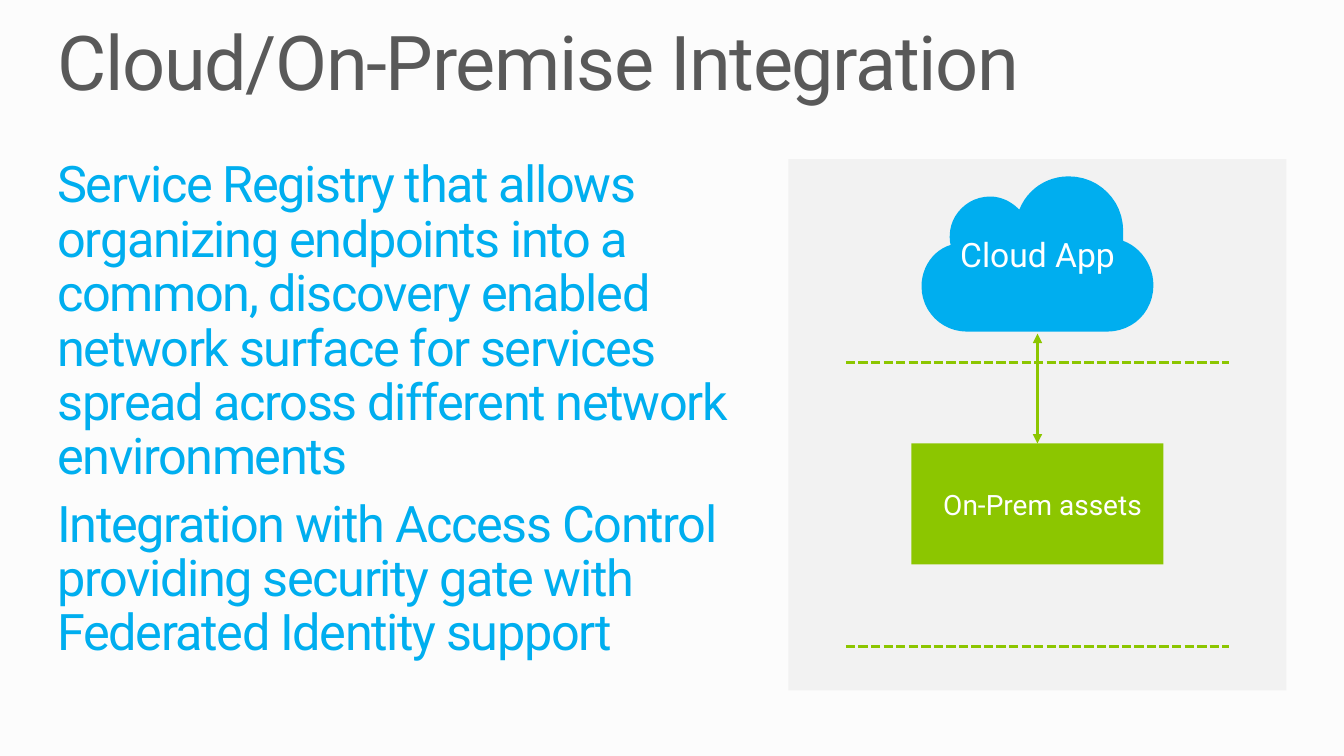
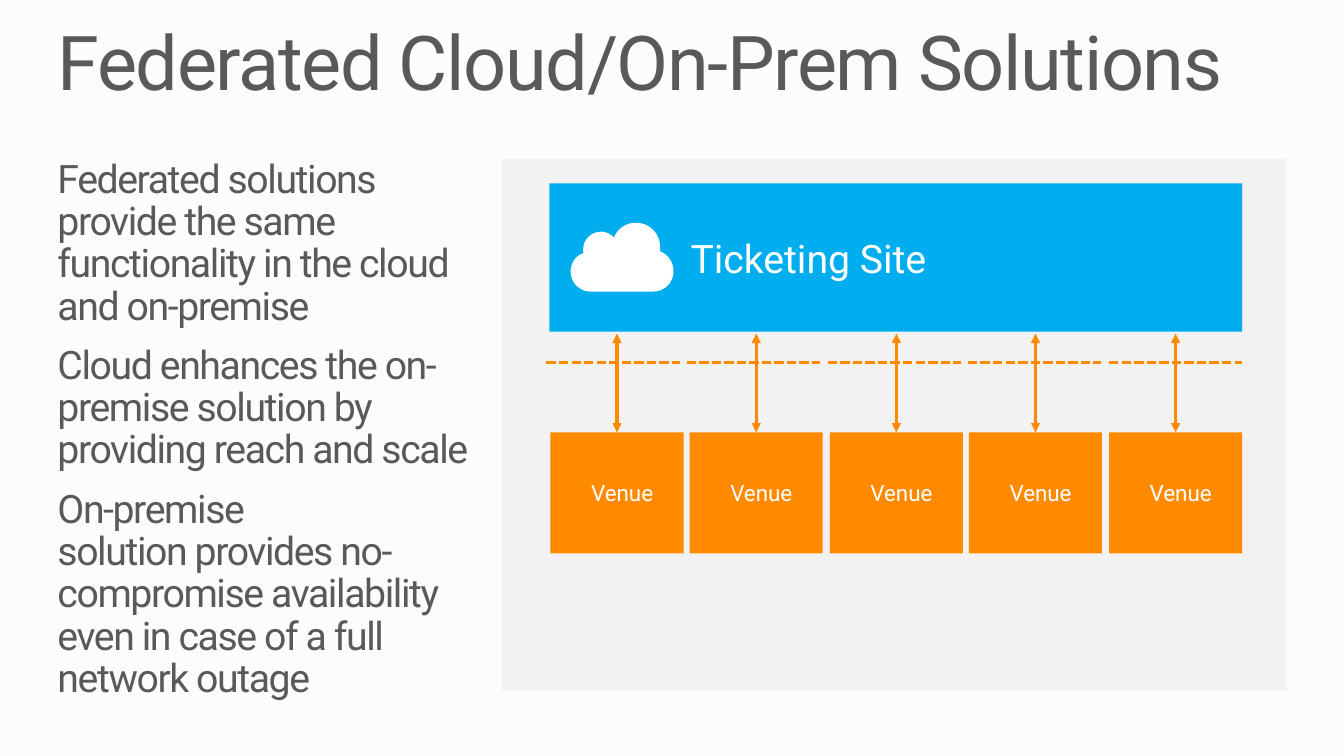
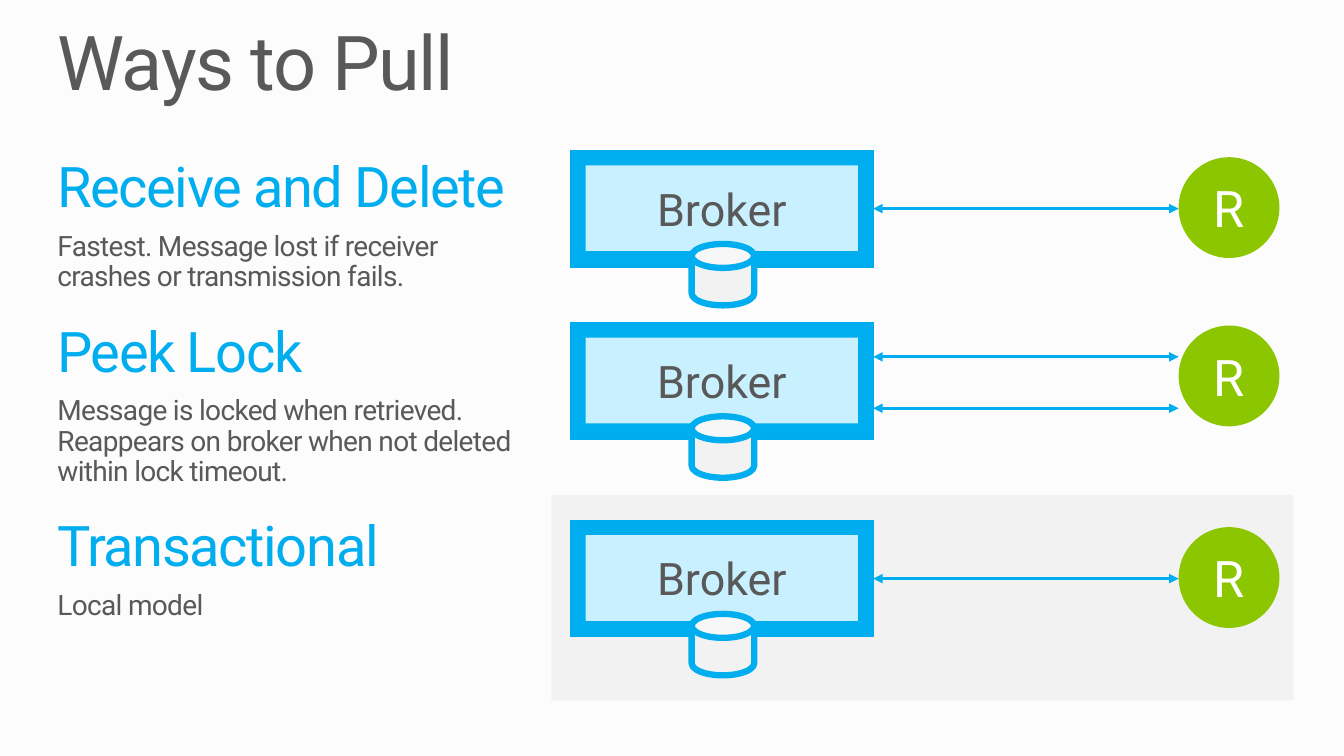
from dataclasses import dataclass

from lxml import etree
from pptx import Presentation, util as u
from pptx.dml.color import RGBColor
from pptx.enum import dml, shapes, text
from pptx.oxml.ns import qn

PX = 9144


@dataclass(frozen=True)
class Theme:
    font: str = "Roboto"
    page: str = "FCFCFC"
    panel: str = "F2F2F2"
    ink: str = "595959"
    white: str = "FFFFFF"
    blue: str = "00AEEF"
    edge: str = "00AAEA"
    pale: str = "C9F0FF"
    green: str = "8CC600"
    orange: str = "FF8A00"
    title: int = 54
    heading: int = 40
    lead: int = 36
    broker: int = 32
    body: int = 28
    label: int = 24
    small: int = 20
    tiny: int = 16
    stroke: float = 2.25


T = Theme()

CLOUD_SIZE = (230, 154)
CLOUD_START = (200, 64)
CLOUD_CURVES = [
    ((200, 61), (200, 58), (200, 54)),
    ((200, 24), (176, 0), (146, 0)),
    ((124, 0), (105, 13), (97, 33)),
    ((89, 25), (79, 20), (68, 20)),
    ((46, 20), (28, 38), (28, 59)),
    ((28, 62), (28, 65), (29, 68)),
    ((12, 73), (0, 90), (0, 109)),
    ((0, 134), (20, 154), (45, 154)),
    ((45, 154), (184, 154), (184, 154)),
    ((210, 154), (230, 134), (230, 108)),
    ((230, 88), (217, 70), (200, 64)),
]


def px(n):
    return u.Emu(n * PX)


def rgb(value):
    return RGBColor.from_string(value)


def spread(first, last, count):
    return [first + i * (last - first) // (count - 1) for i in range(count)]


def add_run(p, words, size, color, tracking=0):
    for i, line in enumerate(words.split("\n")):
        if i:
            p.add_line_break()
        r = p.add_run()
        r.text = line
        r.font.name = T.font
        r.font.size = u.Pt(size)
        r.font.color.rgb = rgb(color)
        if tracking:
            r._r.get_or_add_rPr().set("spc", str(round(tracking * 100)))


def set_insets(tf, left, top, right, bottom):
    tf.margin_left, tf.margin_top = px(left), px(top)
    tf.margin_right, tf.margin_bottom = px(right), px(bottom)


def add_label(sp, words, size, color=T.white, insets=(10, 5, 10, 5),
              align=text.PP_ALIGN.CENTER):
    tf = sp.text_frame
    tf.word_wrap = True
    tf.vertical_anchor = text.MSO_ANCHOR.MIDDLE
    set_insets(tf, *insets)
    p = tf.paragraphs[0]
    p.alignment = align
    add_run(p, words, size, color)


def paint(sp, fill, line=None, width=0.75):
    sp.shadow.inherit = False
    sp.fill.solid()
    sp.fill.fore_color.rgb = rgb(fill)
    if line:
        sp.line.color.rgb = rgb(line)
        sp.line.width = u.Pt(width)
    else:
        sp.line.fill.background()
    return sp


def add_box(s, box, fill, kind=shapes.MSO_SHAPE.RECTANGLE, **outline):
    sp = s.shapes.add_shape(kind, *map(px, box))
    return paint(sp, fill, **outline)


def add_cloud(s, x, y, width, fill):
    points = [CLOUD_START]
    steps = 12
    for b, c, d in CLOUD_CURVES:
        a = points[-1]
        for i in range(1, steps + 1):
            t = i / steps
            weights = ((1 - t) ** 3, 3 * t * (1 - t) ** 2, 3 * t * t * (1 - t), t ** 3)
            points.append(tuple(sum(w * q[k] for w, q in zip(weights, (a, b, c, d)))
                                for k in (0, 1)))
    scale = width / CLOUD_SIZE[0] * PX
    outline = [(round(h * scale), round(v * scale)) for h, v in points]
    builder = s.shapes.build_freeform(*outline[0])
    builder.add_line_segments(outline[1:], close=True)
    return paint(builder.convert_to_shape(px(x), px(y)), fill)


def add_line(s, start, end, color, dashed=False, arrows=False):
    cxn = s.shapes.add_connector(shapes.MSO_CONNECTOR.STRAIGHT, *map(px, start + end))
    cxn.line.color.rgb = rgb(color)
    cxn.line.width = u.Pt(T.stroke)
    if dashed:
        cxn.line.dash_style = dml.MSO_LINE.SQUARE_DOT
    sp_pr = cxn.element.spPr
    if arrows:
        ln = sp_pr.find(qn("a:ln"))
        for tag in ("a:headEnd", "a:tailEnd"):
            etree.SubElement(ln, qn(tag)).set("type", "triangle")
    etree.SubElement(sp_pr, qn("a:effectLst"))
    return cxn


def add_text(s, box, paragraphs):
    tf = s.shapes.add_textbox(*map(px, box)).text_frame
    tf.word_wrap = True
    set_insets(tf, 0, 0, 0, 0)
    for i, (words, size, color, tracking, before, after) in enumerate(paragraphs):
        p = tf.add_paragraph() if i else tf.paragraphs[0]
        p.line_spacing = 0.9
        p.space_before = u.Pt(before if i else 0)
        p.space_after = u.Pt(after)
        add_run(p, words, size, color, tracking)


def add_slide(prs, title):
    s = prs.slides.add_slide(prs.slide_layouts[6])
    add_text(s, (57, 25, 1219, 82), [(title, T.title, T.ink, -1, 0, 0)])
    return s


def add_broker(s, y):
    frame = add_box(s, (566, y, 300, 116), T.blue, line=T.edge)
    face = add_box(s, (581, y + 15, 270, 85), T.pale)
    add_label(face, "Broker", T.broker, T.ink, (0, 5, 0, 5))
    store = add_box(s, (686, y + 93, 62, 61), T.panel, shapes.MSO_SHAPE.CAN,
                    line=T.blue, width=4.5)
    store.adjustments[0] = 0.39
    return frame


def integration_slide(prs):
    s = add_slide(prs, "Cloud/On-Premise Integration")
    points = [
        "Service Registry that allows organizing endpoints into a common, discovery "
        "enabled network surface for services\nspread across different network environments",
        "Integration with Access Control providing security gate with Federated "
        "Identity support",
    ]
    add_text(s, (57, 158, 696, 503), [(w, T.lead, T.blue, -1, 0, 9) for w in points])
    add_box(s, (782, 158, 494, 527), T.panel)
    add_label(add_cloud(s, 914, 175, 230, T.blue), "Cloud App", T.label)
    assets = add_box(s, (904, 440, 250, 120), T.green)
    add_label(assets, "On-Prem assets", T.small, insets=(20, 5, 10, 5))
    link = add_line(s, (1029, 331), (1029, 440), T.green, arrows=True)
    link.end_connect(assets, 0)
    for y in (360, 641):
        add_line(s, (839, y), (1219, y), T.green, dashed=True)


def federated_slide(prs):
    s = add_slide(prs, "Federated Cloud/On-Prem Solutions")
    points = [
        "Federated solutions provide the same functionality in the cloud and on-premise",
        "Cloud enhances the on-premise solution by providing reach and scale",
        "On-premise\nsolution provides no-compromise availability even in case of a "
        "full network outage",
    ]
    add_text(s, (57, 158, 428, 500), [(w, T.body, T.ink, -1, 0, 12) for w in points])
    add_box(s, (498, 158, 778, 527), T.panel)
    site = add_box(s, (545, 182, 687, 147), T.blue)
    add_label(site, "Ticketing Site", T.body, insets=(140, 5, 10, 5),
              align=text.PP_ALIGN.LEFT)
    add_cloud(s, 566, 221, 102, T.white)
    width, count = 132, 5
    for x, dash in zip(spread(546, 1100, count), spread(542, 1100, count)):
        add_line(s, (dash, 360), (dash + width, 360), T.orange, dashed=True)
        venue = add_box(s, (x, 429, width, 120), T.orange)
        add_label(venue, "Venue", T.tiny, insets=(20, 5, 10, 5))
        middle = x + width // 2
        link = add_line(s, (middle, 331), (middle, 429), T.orange, arrows=True)
        link.end_connect(venue, 0)


def pull_slide(prs):
    s = add_slide(prs, "Ways to Pull")
    modes = [
        ("Receive and Delete",
         "Fastest. Message lost if receiver crashes or transmission fails."),
        ("Peek Lock",
         "Message is locked when retrieved. Reappears on broker when not deleted "
         "within lock timeout."),
        ("Transactional", "Local model"),
    ]
    paragraphs = []
    for name, detail in modes:
        paragraphs.append((name, T.heading, T.blue, -1, 22, 9))
        paragraphs.append((detail, T.small, T.ink, -0.5, 0, 0))
    add_text(s, (57, 158, 474, 462), paragraphs)
    add_box(s, (547, 491, 736, 204), T.panel)
    rows = [(149, 156, [207]), (320, 323, [354, 405]), (516, 523, [574])]
    for top, receiver_top, lanes in rows:
        frame = add_broker(s, top)
        receiver = add_box(s, (1169, receiver_top, 100, 100), T.green,
                           shapes.MSO_SHAPE.OVAL)
        add_label(receiver, "R", T.lead, insets=(10, 10, 10, 10))
        for y in lanes:
            link = add_line(s, (866, y), (1169, y), T.blue, arrows=True)
            if len(lanes) == 1:
                link.begin_connect(frame, 3)


def main():
    prs = Presentation()
    prs.slide_width, prs.slide_height = px(1333), px(750)
    fill = prs.slide_master.background.fill
    fill.solid()
    fill.fore_color.rgb = rgb(T.page)
    integration_slide(prs)
    federated_slide(prs)
    pull_slide(prs)
    prs.save("out.pptx")


if __name__ == "__main__":
    main()
